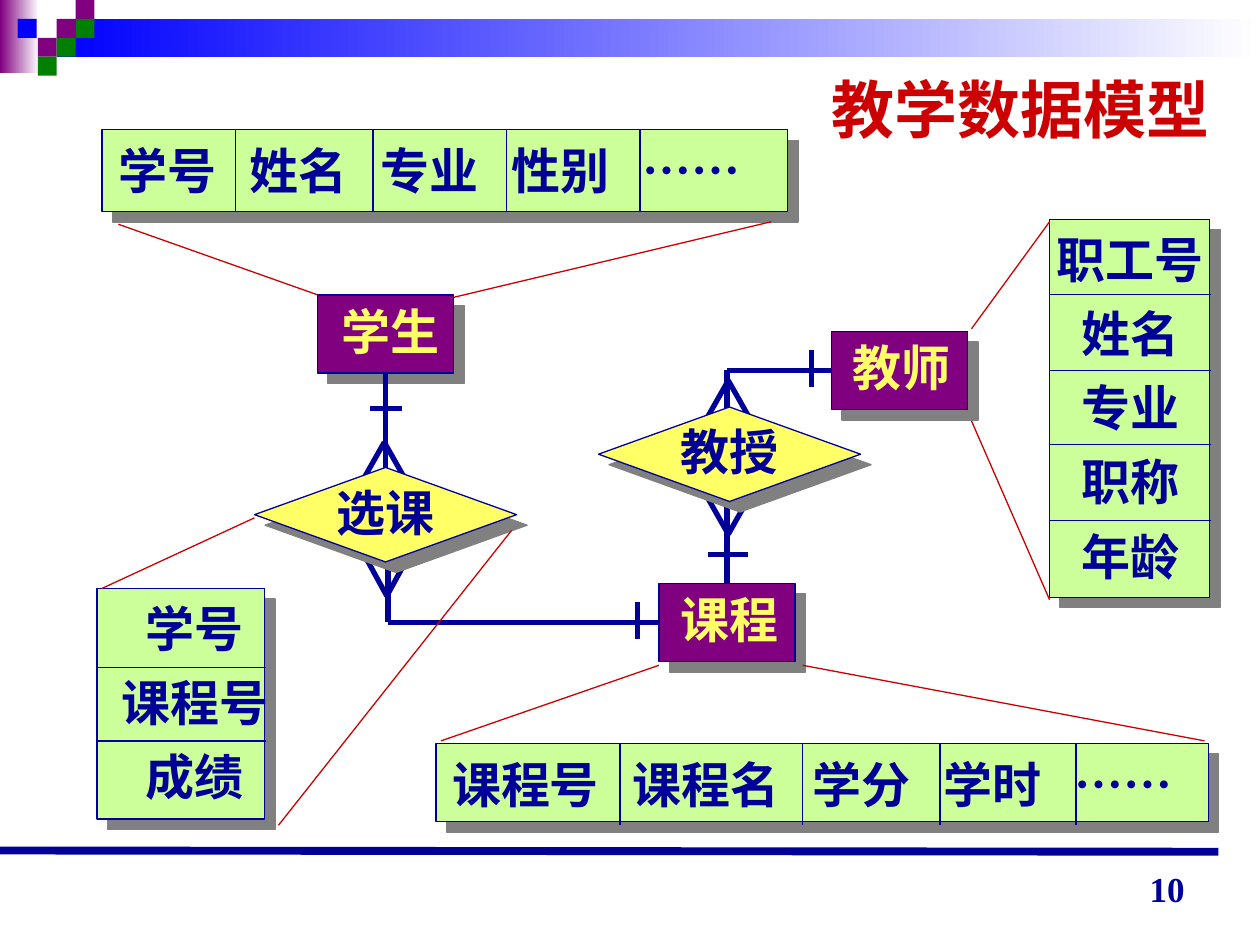
import pptx
import pptx.dml.color
import pptx.enum.shapes
import pptx.enum.text
import pptx.oxml
import pptx.oxml.ns
import pptx.util
from pptx.util import Inches

SHAPE = pptx.enum.shapes.MSO_SHAPE
ALIGN = pptx.enum.text.PP_ALIGN
ANCHOR = pptx.enum.text.MSO_ANCHOR

NAVY, RED, PURPLE, GREEN = "000099", "CC0000", "800080", "008000"
BLUE, WHITE, YELLOW, LIME = "0000FF", "FFFFFF", "FFFF66", "CCFF99"
SHADOW = (
    '<a:effectLst %s><a:outerShdw dist="107950" dir="2700000" algn="ctr" rotWithShape="0">'
    '<a:srgbClr val="808080"/></a:outerShdw></a:effectLst>' % pptx.oxml.ns.nsdecls("a")
)


def set_color(target, value):
    target.rgb = pptx.dml.color.RGBColor.from_string(value)


def add_block(page, left, top, width, height, color, kind=SHAPE.RECTANGLE):
    """Add a filled shape without outline or shadow."""
    block = page.shapes.add_shape(kind, Inches(left), Inches(top), Inches(width), Inches(height))
    block.shadow.inherit = False
    block.fill.solid()
    set_color(block.fill.fore_color, color)
    block.line.fill.background()
    return block


def add_fade(page, left, top, width, height, color):
    """Add a block fading to white towards the right."""
    block = add_block(page, left, top, width, height, color)
    block.fill.gradient()
    block.fill.gradient_angle = 0
    for stop, value in zip(block.fill.gradient_stops, (color, WHITE)):
        set_color(stop.color, value)


def add_node(page, left, top, width, height, color, kind=SHAPE.RECTANGLE):
    """Add an outlined shape with a hard grey shadow."""
    node = add_block(page, left, top, width, height, color, kind)
    set_color(node.line.color, NAVY)
    node.line.width = pptx.util.Pt(0.75)
    properties = node.element.spPr
    properties.remove(properties.find(pptx.oxml.ns.qn("a:effectLst")))
    properties.append(pptx.oxml.parse_xml(SHADOW))
    return node


def add_line(page, x1, y1, x2, y2, color=NAVY, width=0.75):
    line = page.shapes.add_connector(
        pptx.enum.shapes.MSO_CONNECTOR.STRAIGHT, Inches(x1), Inches(y1), Inches(x2), Inches(y2))
    set_color(line.line.color, color)
    line.line.width = pptx.util.Pt(width)
    line.element.spPr.append(
        pptx.oxml.parse_xml("<a:effectLst %s/>" % pptx.oxml.ns.nsdecls("a")))
    return line


def add_text(page, left, top, width, height, lines, color=NAVY, size=28,
             align=ALIGN.LEFT, wrap=True, anchor=ANCHOR.TOP, tabs=()):
    box = page.shapes.add_textbox(Inches(left), Inches(top), Inches(width), Inches(height))
    frame = box.text_frame
    frame.word_wrap = wrap
    frame.vertical_anchor = anchor
    for index, text in enumerate(lines):
        para = frame.add_paragraph() if index else frame.paragraphs[0]
        para.alignment = align
        if index:
            para.space_before = pptx.util.Pt(8.8)
        if tabs:
            stops = "".join('<a:tab pos="%d" algn="l"/>' % Inches(tab) for tab in tabs)
            para._p.get_or_add_pPr().append(pptx.oxml.parse_xml(
                "<a:tabLst %s>%s</a:tabLst>" % (pptx.oxml.ns.nsdecls("a"), stops)))
        span = para.add_run()
        span.text = text
        span.font.name = "Times New Roman"
        span.font.size = pptx.util.Pt(size)
        span.font.bold = True
        set_color(span.font.color, color)


def add_header(page):
    add_fade(page, 0, 0, 0.31, 0.58, PURPLE)
    add_fade(page, 0.45, 0.15, 9.55, 0.3, BLUE)
    squares = [(0.45, 0.15, PURPLE), (0.6, 0, PURPLE), (0.6, 0.15, GREEN), (0.3, 0.3, PURPLE),
               (0.14, 0.15, BLUE), (0.45, 0.3, GREEN), (0.3, 0.45, GREEN)]
    for left, top, color in squares:
        add_block(page, left, top, 0.15, 0.15, color)
    add_text(page, 6.5, 0.51, 3.2, 0.7, ["教学数据模型"], RED, 36, ALIGN.RIGHT, wrap=False)


def add_footer(page):
    add_line(page, 0, 6.75, 9.67, 6.76, width=4.5)
    add_text(page, 7.17, 6.77, 2.33, 0.5, ["10"], size=20, align=ALIGN.RIGHT,
             anchor=ANCHOR.BOTTOM)


def add_entity(page, left, top, name, indent=0.07):
    entity = add_node(page, left, top, 1.08, 0.62, PURPLE)
    add_text(page, left + indent, top, 1.1, 0.57, [name], YELLOW)
    return entity


def add_relation(page, left, top, name):
    add_node(page, left, top, 2.08, 0.75, YELLOW, SHAPE.FLOWCHART_DECISION)
    add_text(page, left + 0.55, top + 0.07, 1.1, 0.57, [name])


def add_attribute_row(page, left, top, width, height, names, dividers, tabs):
    add_node(page, left, top, width, height, LIME)
    add_text(page, left + 0.03, top + 0.04, width, 0.57, ["\t".join(names)], tabs=tabs)
    for x in dividers:
        add_line(page, x, top, x, top + 0.65)


def add_attribute_column(page, left, top, width, height, names, dividers, text_left, text_width):
    add_node(page, left, top, width, height, LIME)
    add_text(page, text_left, top + 0.03, text_width, height - 0.08, names, align=ALIGN.CENTER)
    for y in dividers:
        add_line(page, left, y, left + width + 0.01, y)


def add_crow_foot(page, x, tip, base):
    for side in (-0.17, 0.17):
        add_line(page, x, tip, x + side, base, width=3)


def add_links(page, student, teacher, course):
    """Join the entities with thick lines, crow's feet and single-end bars."""
    add_line(page, 3.06, 3.8, 3.06, 2.96, width=3).end_connect(student, 2)
    add_line(page, 3.08, 4.38, 3.08, 4.94, width=3)
    add_line(page, 3.08, 4.94, 5.23, 4.94, width=3).end_connect(course, 1)
    add_line(page, 5.77, 2.94, 5.77, 4.63, width=3).end_connect(course, 0)
    add_line(page, 5.77, 2.94, 6.6, 2.94, width=3).end_connect(teacher, 1)
    for x, tip, base in [(3.05, 3.51, 3.81), (3.07, 4.73, 4.42),
                         (5.78, 3.02, 3.32), (5.78, 4.24, 3.94)]:
        add_crow_foot(page, x, tip, base)
    for bar in [(2.94, 3.24, 3.19, 3.24), (5.62, 4.4, 5.94, 4.4),
                (5.06, 4.78, 5.06, 5.07), (6.44, 2.78, 6.44, 3.07)]:
        add_line(page, *bar, width=3)


def add_callout_lines(page):
    """Lead from each element to its attributes."""
    for ends in [(0.94, 1.78, 2.52, 2.34), (3.6, 2.36, 6.12, 1.76),
                 (2.02, 4.11, 0.81, 4.67), (4.06, 4.21, 2.21, 6.55),
                 (5.23, 5.28, 3.5, 5.88), (6.37, 5.28, 9.56, 5.88),
                 (8.33, 1.76, 7.71, 2.61), (7.71, 3.34, 8.33, 4.76)]:
        add_line(page, *ends, color=RED)


def main():
    deck = pptx.Presentation()
    deck.slide_width, deck.slide_height = Inches(10), Inches(7.5)
    page = deck.slides.add_slide(deck.slide_layouts[6])
    add_header(page)
    add_footer(page)

    add_attribute_row(page, 0.81, 1.03, 5.44, 0.65, ["学号", "姓名", "专业", "性别", "……"],
                      [1.87, 2.96, 4.02, 5.08], [1.04, 2.08, 3.12, 4.16])
    add_attribute_row(page, 3.46, 5.9, 6.13, 0.62, ["课程号", "课程名", "学分", "学时", "……"],
                      [4.92, 6.37, 7.46, 8.54], [1.43, 2.86, 3.9, 4.94])
    add_attribute_column(page, 8.33, 1.74, 1.27, 3, ["职工号", "姓名", "专业", "职称", "年龄"],
                         [2.34, 2.94, 3.53, 4.13], 8.27, 1.4)
    add_attribute_column(page, 0.77, 4.67, 1.33, 1.83, ["学号", "课程号", "成绩"],
                         [5.3, 5.88], 0.76, 1.57)

    student = add_entity(page, 2.52, 2.34, "学生", indent=0.09)
    teacher = add_entity(page, 6.6, 2.63, "教师")
    course = add_entity(page, 5.23, 4.63, "课程")
    add_links(page, student, teacher, course)
    add_relation(page, 2.02, 3.71, "选课")
    add_relation(page, 4.75, 3.23, "教授")
    add_callout_lines(page)
    deck.save("out.pptx")


if __name__ == "__main__":
    main()
